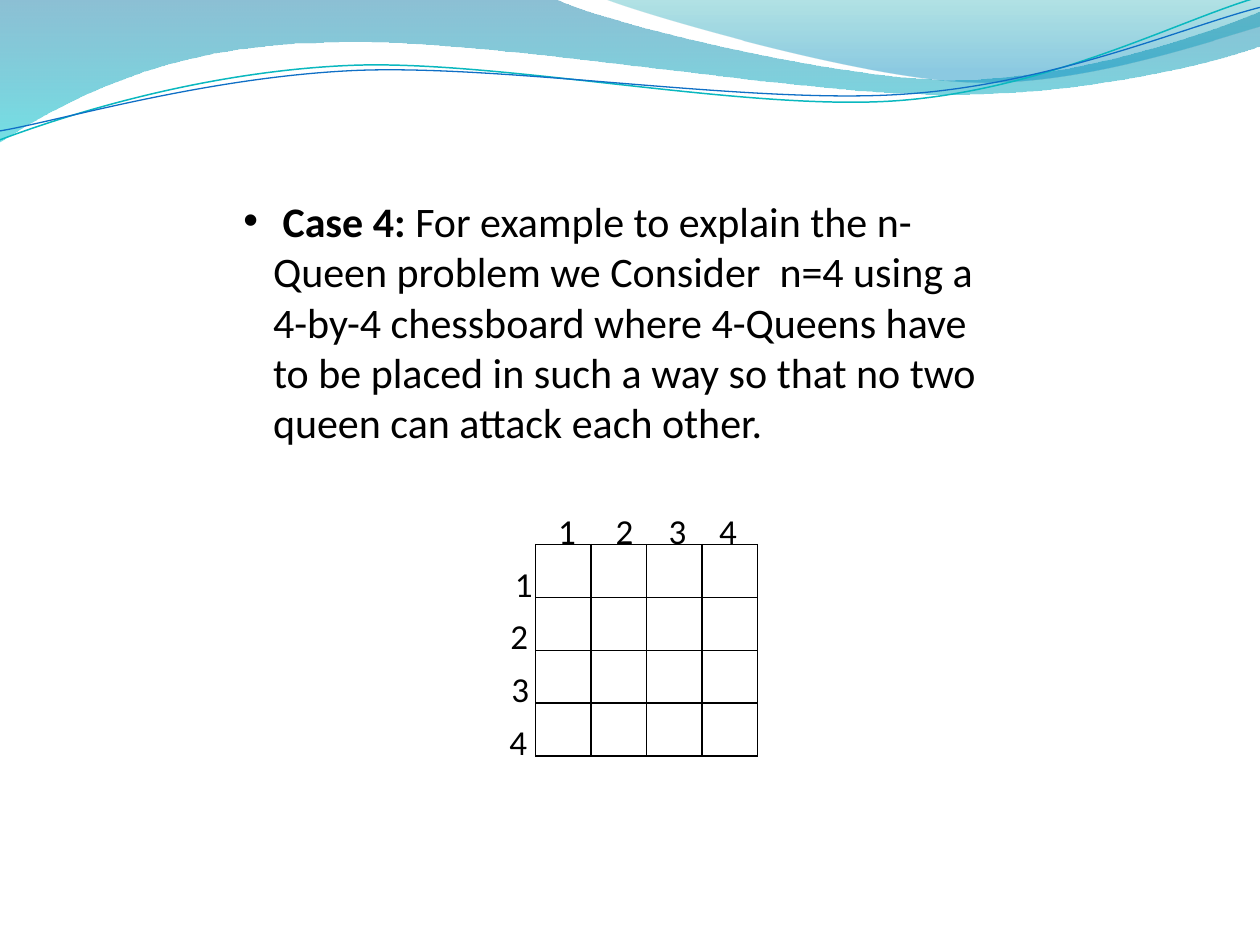
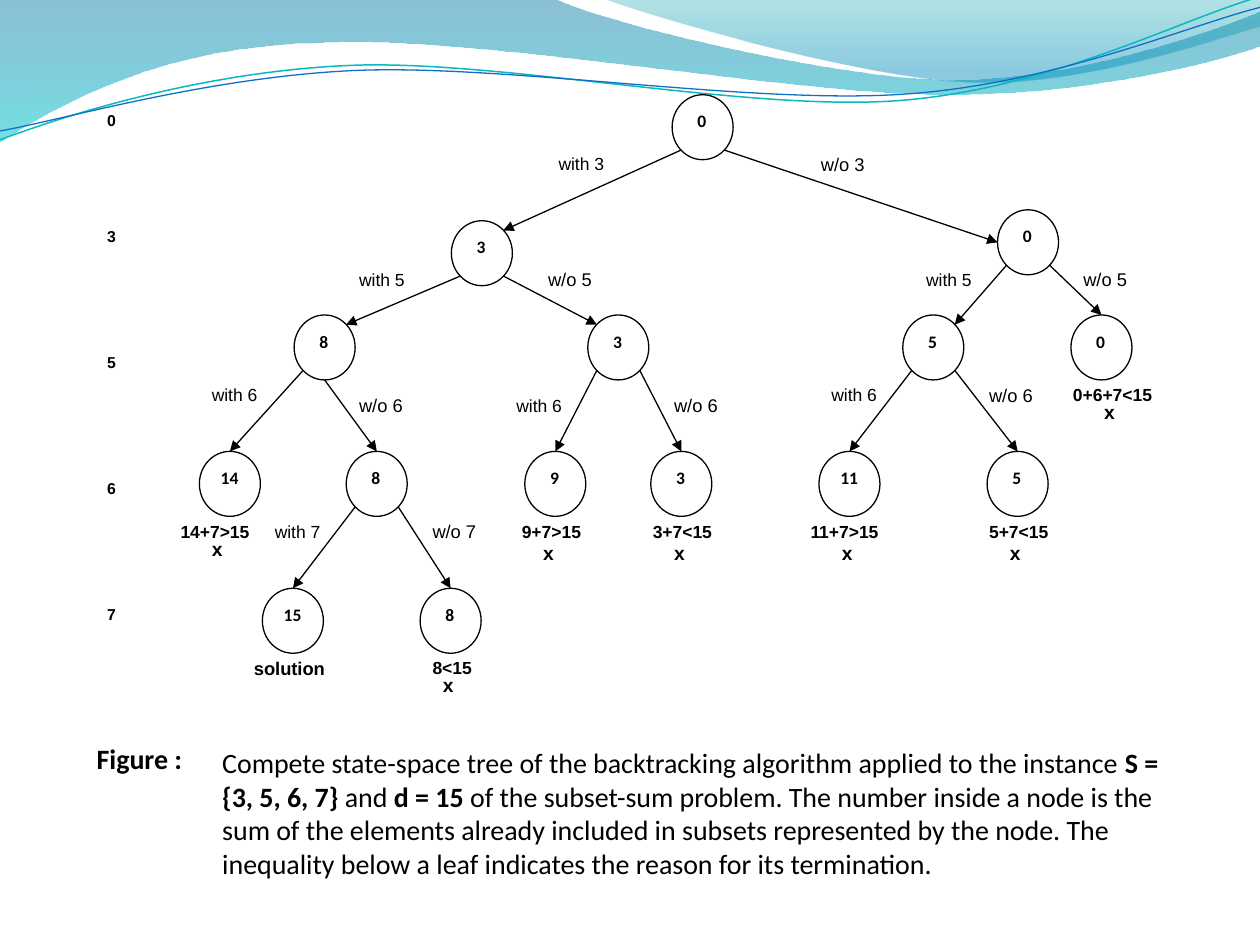
from lxml.etree import SubElement
from pptx import Presentation
from pptx.dml.color import RGBColor
from pptx.enum.shapes import MSO_CONNECTOR, MSO_SHAPE
from pptx.enum.text import MSO_ANCHOR, MSO_AUTO_SIZE, PP_ALIGN
from pptx.oxml.ns import qn
from pptx.util import Cm, Pt

BLACK = RGBColor(0x00, 0x00, 0x00)
WHITE = RGBColor(0xFF, 0xFF, 0xFF)
DEEP_BLUE = RGBColor(0x00, 0x74, 0xA1)
CYAN = RGBColor(0x00, 0xC6, 0xCF)
TEAL = RGBColor(0x00, 0xA1, 0xA9)
SKY = RGBColor(0x00, 0x8B, 0xBF)
TEAL_LINE = RGBColor(0x0A, 0xB8, 0xBF)
BLUE_LINE = RGBColor(0x0F, 0x6F, 0xC6)


def write(frame, text, size, font="Calibri", bold=False):
    """Fill the frame with one paragraph; parts between asterisks are bold."""
    paragraph = frame.paragraphs[0]
    paragraph.alignment = PP_ALIGN.LEFT
    for i, part in enumerate(text.split("*")):
        if part:
            run = paragraph.add_run()
            run.text = part
            run.font.name = font
            run.font.size = Pt(size)
            run.font.bold = bold or i % 2 == 1
            run.font.color.rgb = BLACK
    return paragraph


def label(slide, text, left, top, width, height, wrap=False, **text_format):
    box = slide.shapes.add_textbox(Cm(left), Cm(top), Cm(width), Cm(height))
    box.text_frame.word_wrap = wrap
    box.text_frame.auto_size = MSO_AUTO_SIZE.SHAPE_TO_FIT_TEXT
    write(box.text_frame, text, **text_format)


prs = Presentation()
prs.slide_width, prs.slide_height = Cm(25.4), Cm(19.05)
queens = prs.slides.add_slide(prs.slide_layouts[1])
subset_sum = prs.slides.add_slide(prs.slide_layouts[6])

# Waves on the master: a start point, then lines (2 numbers) and Bezier curves (6)
upper_wave = [
    (0, -0.03), (11.18, -0.03),
    (12.09, 0.43, 16.87, 1.6, 19.25, 1.6),
    (21.67, 1.6, 24.33, 0.66, 25.4, 0.23),
    (25.43, 0.91),
    (24.97, 1.12, 22.1, 1.93, 18.95, 1.9),
    (15.8, 1.9, 9.7, 0.71, 6.53, 0.86),
    (3.28, 0.89, 1.17, 2.11, -0.03, 2.87),
    (0, -0.03),
]
right_wave = [
    (12.17, -0.03),
    (12.93, 0.28, 17.32, 1.57, 19.53, 1.65),
    (21.74, 1.75, 24.41, 0.81, 25.4, 0.53),
    (25.4, 0), (12.17, -0.03),
]
teal_curve = [
    (0, 2.82),
    (1.22, 2.36, 4.01, 1.45, 7.04, 1.32),
    (10.03, 1.19, 15.06, 2.26, 18.11, 2.03),
    (21.16, 1.8, 23.83, 0.38, 25.35, -0.05),
]
blue_curve = [
    (0, 2.64),
    (1.19, 2.44, 4.17, 1.55, 7.19, 1.42),
    (10.24, 1.3, 15.16, 2.11, 18.21, 1.9),
    (21.23, 1.7, 23.9, 0.53, 25.4, 0.15),
]
# outline, gradient stops (position, colour, opacity %), line colour, line width
waves = [
    (upper_wave, [(0, DEEP_BLUE, 45), (1, CYAN, 55)], None, 0),
    (right_wave, [(0, TEAL, 30), (0.8, SKY, 45)], None, 0),
    (teal_curve, None, TEAL_LINE, 0.85),
    (blue_curve, None, BLUE_LINE, 0.75),
]
for i, (outline, gradient, line_color, line_width) in enumerate(waves):
    points = [(Cm(segment[j]), Cm(segment[j + 1]))
              for segment in outline for j in range(0, len(segment), 2)]
    builder = queens.shapes.build_freeform(*points[0])
    builder.add_line_segments(points[1:], close=gradient is not None)
    wave = builder.convert_to_shape()
    # Join each three straight steps of a curve into one Bezier segment
    steps = iter(list(wave._element.iter(qn("a:lnTo"))))
    for segment in outline[1:]:
        step = next(steps)
        if len(segment) == 6:
            step.tag = qn("a:cubicBezTo")
            for _ in range(2):
                merged = next(steps)
                step.append(merged[0])
                merged.getparent().remove(merged)
    wave.shadow.inherit = False
    if gradient:
        wave.line.fill.background()
        wave.fill.gradient()
        wave.fill.gradient_angle = 270
        for stop, (position, color, _) in zip(wave.fill.gradient_stops, gradient):
            stop.position = position
            stop.color.rgb = color
        for color_xml, (_, _, opacity) in zip(wave._element.iter(qn("a:srgbClr")), gradient):
            SubElement(color_xml, qn("a:alpha"), val=str(opacity * 1000))
    else:
        wave.fill.background()
        wave.line.color.rgb = line_color
        wave.line.width = Pt(line_width)
    wave._element.nvSpPr.cNvPr.set("id", str(100 + i))
    prs.slide_master.shapes._spTree.insert(2 + i, wave._element)

# Slide 1: the 4-queens board
title = queens.shapes.title._element
title.getparent().remove(title)
case = queens.placeholders[1]
case.left, case.top, case.width, case.height = Cm(4.65), Cm(3.81), Cm(15.88), Cm(5.38)
case.text_frame.auto_size = MSO_AUTO_SIZE.NONE
case_text = write(
    case.text_frame,
    "* Case 4:* For example to explain the n-Queen problem we Consider  n=4 using a "
    "4-by-4 chessboard where 4-Queens have to be placed in such a way so that no two "
    "queen can attack each other.", size=24)
case_text.space_before = Pt(0)
bullet = case_text._p.get_or_add_pPr()
bullet.set("marL", str(Cm(0.6)))
bullet.set("indent", str(Cm(-0.6)))

board = queens.shapes.add_table(4, 4, Cm(10.8), Cm(10.98), Cm(4.47), Cm(4.26)).table
board.first_row = board.horz_banding = False
for square in board.iter_cells():
    properties = square._tc.get_or_add_tcPr()
    for side in ("a:lnL", "a:lnR", "a:lnT", "a:lnB"):
        border = SubElement(properties, qn(side), w=str(Pt(1)))
        SubElement(SubElement(border, qn("a:solidFill")), qn("a:srgbClr"), val=str(BLACK))
    square.fill.background()

column_lefts = [11, 12.16, 13.23, 14.25]
row_lefts = [10.13, 10.04, 10.06, 10.02]
for i, (column_left, row_left) in enumerate(zip(column_lefts, row_lefts)):
    label(queens, str(i + 1), column_left, 10.15, 0.91, 1.12, size=20)
    label(queens, str(i + 1), row_left, 11.21 + 1.06 * i, 0.91, 1.12, size=20)

# Slide 2: the state-space tree
NODE_WIDTH, NODE_HEIGHT = 1.23, 1.31
# node key (choices made, 1 = with, 0 = without): sum, left, top
nodes = {
    "": (" 0", 13.55, 1.91),
    "1": (" 3", 9.1, 4.45), "0": (" 0", 20.11, 4.23),
    "11": (" 8", 5.93, 6.35), "10": (" 3", 11.85, 6.35),
    "01": (" 5", 18.2, 6.35), "00": (" 0", 21.59, 6.35),
    "111": ("14", 4.02, 9.1), "110": (" 8", 6.98, 9.1),
    "101": (" 9", 10.58, 9.1), "100": (" 3", 13.12, 9.1),
    "011": ("11", 16.51, 9.1), "010": (" 5", 19.9, 9.1),
    "1101": ("15", 5.29, 11.86), "1100": (" 8", 8.47, 11.86),
}
circles = {}
for key, (total, left, top) in nodes.items():
    circle = subset_sum.shapes.add_shape(
        MSO_SHAPE.OVAL, Cm(left), Cm(top), Cm(NODE_WIDTH), Cm(NODE_HEIGHT))
    circle.shadow.inherit = False
    circle.fill.solid()
    circle.fill.fore_color.rgb = WHITE
    circle.line.color.rgb = BLACK
    circle.line.width = Pt(0.75)
    circle.text_frame.vertical_anchor = MSO_ANCHOR.TOP
    circle.text_frame.margin_right = 0
    write(circle.text_frame, total, size=10, bold=True)
    circles[key] = circle

# points on a node's edge, as shares of its width and height
EDGE = {"top": (0.5, 0), "left": (0, 0.5), "bottom": (0.5, 1),
        "top left": (0.15, 0.15), "top right": (0.85, 0.15),
        "bottom left": (0.15, 0.85), "bottom right": (0.85, 0.85)}
# child key, start on the parent, end on the child, label left and top
branches = [
    ("1", "bottom left", "top right", 11.01, 2.97),
    ("0", "bottom right", "left", 16.3, 2.97),
    ("11", "bottom left", "top right", 6.99, 5.29),
    ("10", "bottom right", "top left", 10.8, 5.29),
    ("01", "bottom left", "top right", 18.42, 5.29),
    ("00", "bottom right", "top", 21.59, 5.29),
    ("111", "bottom left", "top", 4.02, 7.62),
    ("110", "bottom", "top", 6.99, 7.83),
    ("101", "bottom left", "top", 10.16, 7.83),
    ("100", "bottom right", "top", 13.34, 7.83),
    ("011", "bottom left", "top", 16.51, 7.62),
    ("010", "bottom right", "top", 19.69, 7.62),
    ("1101", "bottom left", "top", 5.29, 10.37),
    ("1100", "bottom right", "top", 8.47, 10.37),
]
elements = [3, 5, 6, 7]
for child, start, end, label_left, label_top in branches:
    ends = []
    for key, edge in ((child[:-1], start), (child, end)):
        _, left, top = nodes[key]
        across, down = EDGE[edge]
        ends += [Cm(left + across * NODE_WIDTH), Cm(top + down * NODE_HEIGHT)]
    arrow = subset_sum.shapes.add_connector(MSO_CONNECTOR.STRAIGHT, *ends)
    if end == "top":
        arrow.end_connect(circles[child], 0)
    arrow.line.color.rgb = BLACK
    arrow.line.width = Pt(0.75)
    SubElement(arrow.line._get_or_add_ln(), qn("a:tailEnd"), type="triangle")
    SubElement(arrow._element.spPr, qn("a:effectLst"))
    element = elements[len(child) - 1]
    if child[-1] == "1":
        label(subset_sum, f"with {element}", label_left, label_top, 1.45, 0.68,
              size=10, font="Arial")
    else:
        label(subset_sum, f"w/o {element}", label_left, label_top, 1.4, 0.7,
              size=10.5, font="Arial")

# inequality with left, top and width, then left and top of its cross
dead_ends = [
    ("14+7>15", 3.39, 10.37, 1.9, 4.02, 10.7),
    ("9+7>15", 10.27, 10.38, 1.73, 10.7, 10.79),
    ("3+7<15", 12.91, 10.37, 1.73, 13.34, 10.79),
    ("11+7>15", 16.09, 10.37, 1.9, 16.72, 10.79),
    ("5+7<15", 19.69, 10.37, 1.73, 20.11, 10.79),
    ("0+6+7<15", 21.38, 7.62, 2.13, 22.01, 7.95),
    ("8<15", 8.47, 13.13, 1.32, 8.68, 13.45),
]
for reason, left, top, width, cross_left, cross_top in dead_ends:
    label(subset_sum, reason, left, top, width, 0.68, size=10, font="Arial", bold=True)
    label(subset_sum, "x", cross_left, cross_top, 0.74, 0.74, size=11, font="Arial", bold=True)
label(subset_sum, "solution", 4.87, 13.13, 2.03, 0.74, size=10.5, font="Arial", bold=True)

for level, top in zip([0] + elements, [2.11, 4.45, 6.99, 9.53, 12.07]):
    label(subset_sum, str(level), 1.91, top, 0.64, 0.64, wrap=True,
          size=9, font="Arial", bold=True)

label(subset_sum, "Figure :", 1.7, 14.82, 2.29, 0.94, size=16, bold=True)
label(subset_sum,
      "Compete state-space tree of the backtracking algorithm applied to the instance "
      "*S = {3, 5, 6, 7} *and *d = 15* of the subset-sum problem. The number inside a node "
      "is the sum of the elements already included in subsets represented by the node. The "
      "inequality below a leaf indicates the reason for its termination.",
      4.23, 14.91, 19.48, 3, wrap=True, size=16)

prs.save("out.pptx")
